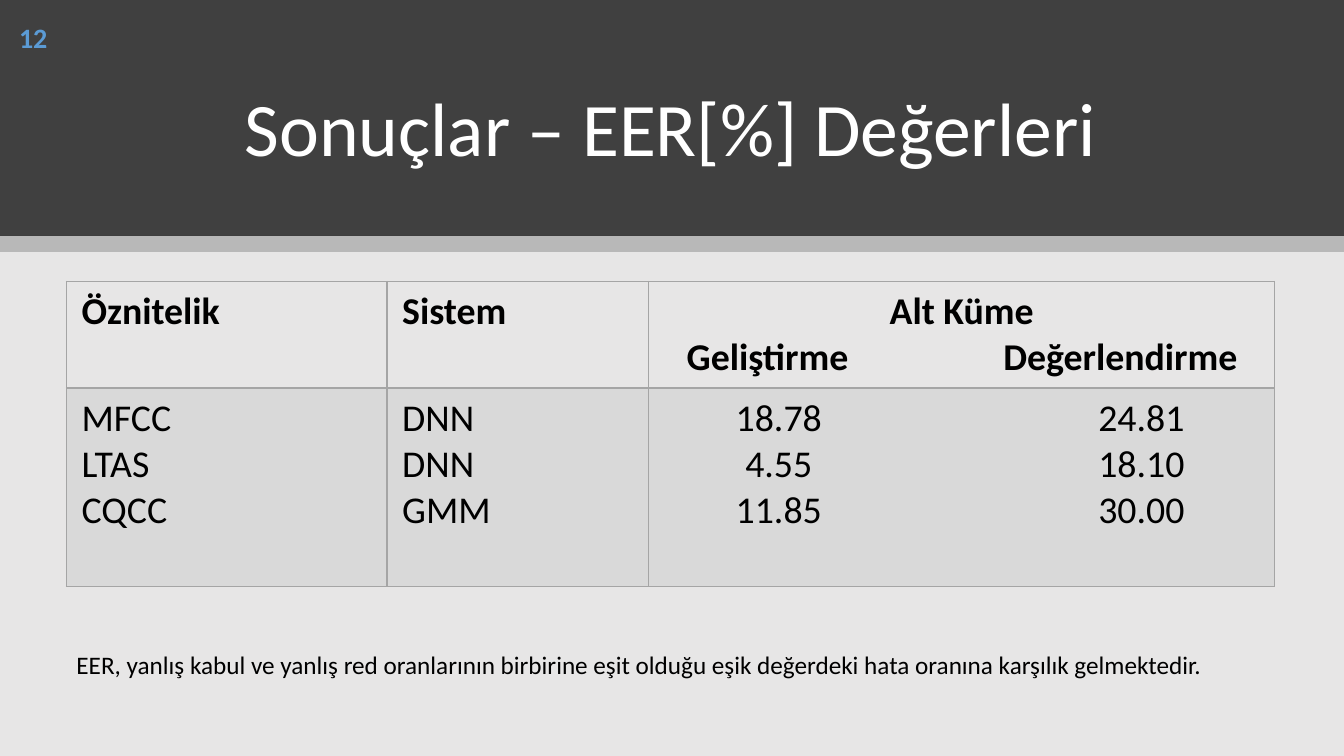
import pptx
import pptx.dml.color
import pptx.enum.shapes
import pptx.enum.text
import pptx.oxml.ns
import pptx.util
from lxml import etree

Pt = pptx.util.Pt
ALIGN = pptx.enum.text.PP_ALIGN
ANCHOR = pptx.enum.text.MSO_ANCHOR
qn = pptx.oxml.ns.qn

FONT = "Calibri"
COLORS = {
    "background": "E7E6E6",
    "banner": "404040",
    "black": "000000",
    "white": "FFFFFF",
    "grid": "A5A5A5",
    "number": "5B9BD5",
}
WIDTH, HEIGHT = 960, 540
MARGIN, CONTENT_WIDTH = 47.5, 863

HEADERS = ["Öznitelik", "Sistem", "Alt Küme\n\tGeliştirme\tDeğerlendirme"]
RESULTS = [
    ("MFCC", "DNN", "18.78", "24.81"),
    ("LTAS", "DNN", "4.55", "18.10"),
    ("CQCC", "GMM", "11.85", "30.00"),
]
COLUMN_WIDTHS = [229, 187, 447]
ROW_HEIGHTS = [76, 142]
HEADER_TABS = (74, 326)
VALUE_TABS = (82, 341)


def color(name):
    return pptx.dml.color.RGBColor.from_string(COLORS[name])


def set_alpha(fill, percent):
    """Make a solid fill partly transparent."""
    fill_color = fill._xPr.find(qn("a:solidFill"))[0]
    etree.SubElement(fill_color, qn("a:alpha"), val=str(percent * 1000))


def format_text(text_frame, size, color_name, bold=False, align=ALIGN.LEFT):
    for paragraph in text_frame.paragraphs:
        paragraph.alignment = align
        for run in paragraph.runs:
            run.font.name = FONT
            run.font.size = Pt(size)
            run.font.bold = bold
            run.font.color.rgb = color(color_name)


def add_band(slide, top, height, color_name, alpha=None):
    shape = slide.shapes.add_shape(
        pptx.enum.shapes.MSO_SHAPE.RECTANGLE, 0, Pt(top), Pt(WIDTH), Pt(height))
    shape.shadow.inherit = False
    shape.line.fill.background()
    shape.fill.solid()
    shape.fill.fore_color.rgb = color(color_name)
    if alpha:
        set_alpha(shape.fill, alpha)


def add_text(slide, box, text, size, color_name, anchor, **style):
    shape = slide.shapes.add_textbox(*map(Pt, box))
    text_frame = shape.text_frame
    text_frame.word_wrap = True
    text_frame.vertical_anchor = anchor
    text_frame.text = text
    format_text(text_frame, size, color_name, **style)
    return text_frame


def set_borders(cell, bottom_width):
    properties = cell._tc.get_or_add_tcPr()
    widths = {"a:lnL": 1, "a:lnR": 1, "a:lnT": 1, "a:lnB": bottom_width}
    for index, (side, width) in enumerate(widths.items()):
        line = etree.Element(qn(side), w=str(Pt(width)))
        fill = etree.SubElement(line, qn("a:solidFill"))
        etree.SubElement(fill, qn("a:srgbClr"), val=COLORS["grid"])
        properties.insert(index, line)


def set_center_tabs(paragraph, positions):
    tab_list = etree.SubElement(paragraph._p.get_or_add_pPr(), qn("a:tabLst"))
    for position in positions:
        etree.SubElement(tab_list, qn("a:tab"), pos=str(Pt(position)), algn="ctr")


def fill_cell(cell, text, is_header):
    cell.margin_left = cell.margin_right = Pt(10.8)
    cell.margin_top = cell.margin_bottom = Pt(5.4)
    cell.text_frame.text = text
    format_text(cell.text_frame, 27, "black", bold=is_header)
    for paragraph in cell.text_frame.paragraphs:
        if "\t" in paragraph.text:
            set_center_tabs(paragraph, HEADER_TABS if is_header else VALUE_TABS)
    if is_header:
        cell.fill.background()
    else:
        cell.fill.solid()
        cell.fill.fore_color.rgb = color("grid")
        set_alpha(cell.fill, 20)
    set_borders(cell, 2 if is_header else 1)


def add_results_table(slide):
    table = slide.shapes.add_table(
        len(ROW_HEIGHTS), len(COLUMN_WIDTHS), Pt(MARGIN), Pt(201),
        Pt(CONTENT_WIDTH), Pt(sum(ROW_HEIGHTS))).table
    table.horz_banding = False
    for column, width in zip(table.columns, COLUMN_WIDTHS):
        column.width = Pt(width)
    for row, height in zip(table.rows, ROW_HEIGHTS):
        row.height = Pt(height)

    # Each body cell stacks one line per feature
    features, systems, development, evaluation = zip(*RESULTS)
    values = [f"\t{dev}\t{test}" for dev, test in zip(development, evaluation)]
    body = ["\n".join(lines) for lines in (features, systems, values)]
    for row, texts in enumerate((HEADERS, body)):
        for column, text in enumerate(texts):
            fill_cell(table.cell(row, column), text, row == 0)
    table.cell(0, 2).text_frame.paragraphs[0].alignment = ALIGN.CENTER


def main():
    presentation = pptx.Presentation()
    presentation.slide_width = Pt(WIDTH)
    presentation.slide_height = Pt(HEIGHT)
    slide = presentation.slides.add_slide(presentation.slide_layouts[6])

    # Background and banner
    add_band(slide, 0, HEIGHT, "background")
    add_band(slide, 0, 168.5, "banner")
    add_band(slide, 168.5, 11.5, "black", alpha=20)

    # Title and slide number
    title = add_text(slide, (MARGIN, 53.5, CONTENT_WIDTH, 73.5),
                     "Sonuçlar – EER[%] Değerleri", 54, "white",
                     ANCHOR.BOTTOM, align=ALIGN.CENTER)
    title.paragraphs[0].line_spacing = 0.9
    add_text(slide, (0, 0, MARGIN, 53.5), "12", 20, "number",
             ANCHOR.MIDDLE, bold=True, align=ALIGN.CENTER)

    # Results and explanation
    add_results_table(slide)
    add_text(slide, (MARGIN, 438, CONTENT_WIDTH, 51),
             "EER, yanlış kabul ve yanlış red oranlarının birbirine eşit olduğu "
             "eşik değerdeki hata oranına karşılık gelmektedir.",
             18, "black", ANCHOR.BOTTOM)

    presentation.save("out.pptx")


if __name__ == "__main__":
    main()
